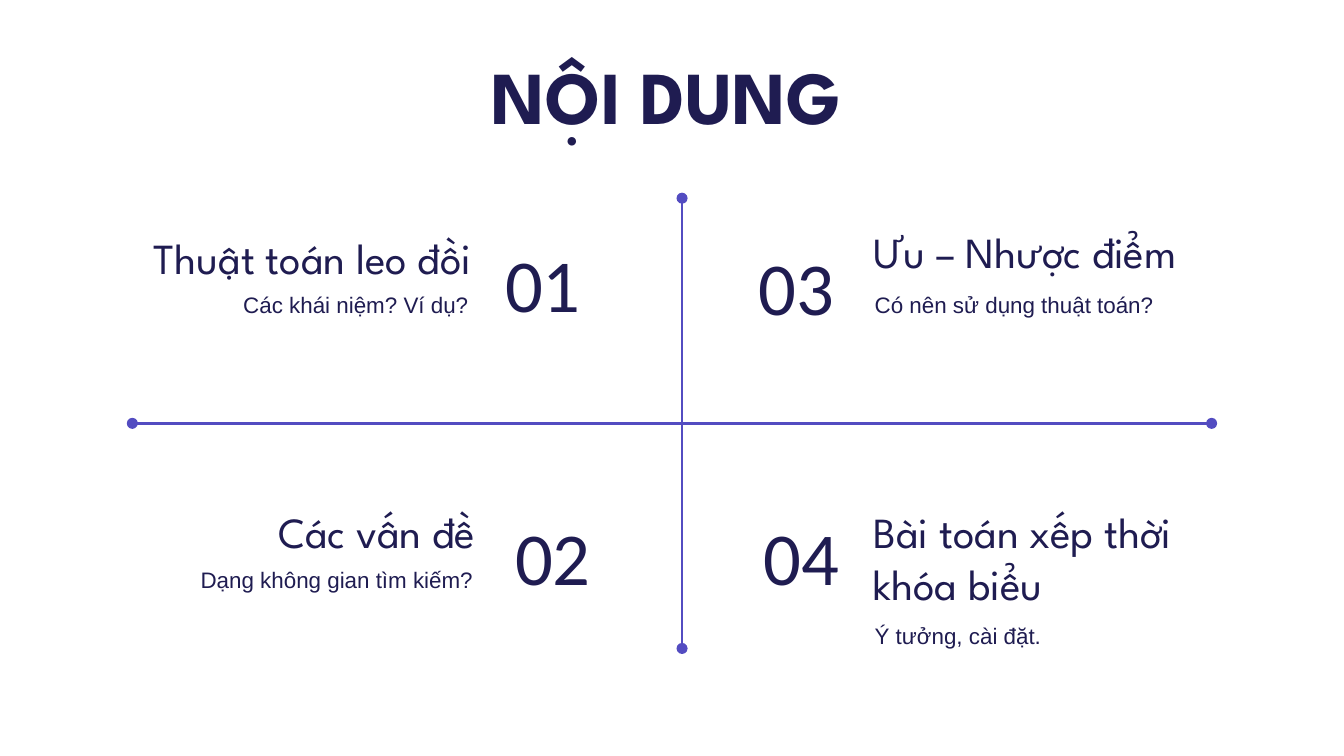
from lxml.etree import SubElement
from pptx import Presentation
from pptx.dml.color import RGBColor
from pptx.enum.shapes import MSO_CONNECTOR
from pptx.enum.text import MSO_ANCHOR, MSO_AUTO_SIZE, PP_ALIGN
from pptx.oxml.ns import qn
from pptx.util import Emu, Pt

PX = 4572  # 200 px to the inch
INK, LINE = "1F1C51", "534CC1"
HEAD, NUM, BODY = ("League Spartan", 23), ("Calibri", 40), ("Arial", 12)
LEFT, RIGHT = PP_ALIGN.LEFT, PP_ALIGN.RIGHT
MID, BOTTOM = MSO_ANCHOR.MIDDLE, MSO_ANCHOR.BOTTOM

TITLE = ("NỘI DUNG", (712, 55, 596, 172))

# Side of the text, then number, heading and note, each with its box;
# the heading also has its anchor.
TOPICS = [
    (RIGHT, ("01", (732, 335, 260, 172)),
     ("Thuật toán leo đồi", (126, 333, 596, 100), MID),
     ("Các khái niệm? Ví dụ?", (121, 403, 596, 100))),
    (RIGHT, ("02", (747, 741, 260, 172)),
     ("Các vấn đề", (131, 749, 596, 100), BOTTOM),
     ("Dạng không gian tìm kiếm?", (238, 813, 486, 100))),
    (LEFT, ("03", (1001, 339, 260, 172)),
     ("Ưu – Nhược điểm", (1280, 332, 596, 100), BOTTOM),
     ("Có nên sử dụng thuật toán?", (1282, 406, 490, 94))),
    (LEFT, ("04", (1009, 741, 260, 172)),
     ("Bài toán xếp thời khóa biểu", (1280, 748, 616, 178), BOTTOM),
     ("Ý tưởng, cài đặt.", (1282, 896, 466, 100))),
]

AXES = [(1015, 295, 1015, 965), (197, 630, 1803, 630)]


def px(nums):
    return [Emu(n * PX) for n in nums]


def color(code):
    return RGBColor.from_string(code)


def write(shape, text, box, style, align=LEFT, anchor=MID, bold=False):
    shape.left, shape.top, shape.width, shape.height = px(box)
    frame = shape.text_frame
    frame.text = text
    frame.word_wrap = True
    frame.auto_size = MSO_AUTO_SIZE.NONE
    frame.vertical_anchor = anchor
    frame.margin_left, frame.margin_top, frame.margin_right, frame.margin_bottom = px([20] * 4)
    para = frame.paragraphs[0]
    para.alignment = align
    para.font.name, para.font.size = style[0], Pt(style[1])
    para.font.bold = bold
    para.font.color.rgb = color(INK)


def label(slide, text, box, *look):
    write(slide.shapes.add_textbox(*px(box)), text, box, *look)


def axis(slide, ends):
    """Draw a line with a dot at each end."""
    bar = slide.shapes.add_connector(MSO_CONNECTOR.STRAIGHT, *px(ends))
    bar.line.color.rgb = color(LINE)
    bar.line.width = Pt(1.5)
    props = bar.line._get_or_add_ln()
    for end in ("a:headEnd", "a:tailEnd"):
        SubElement(props, qn(end), type="oval", w="med", len="med")
    SubElement(bar._element.spPr, qn("a:effectLst"))


def main():
    deck = Presentation()
    deck.slide_width, deck.slide_height = px((2000, 1125))
    slide = deck.slides.add_slide(deck.slide_layouts[5])
    write(slide.shapes.title, *TITLE, ("League Spartan", 40), bold=True)
    for ends in AXES:
        axis(slide, ends)
    for side, num, (head, box, anchor), note in TOPICS:
        label(slide, *num, NUM, LEFT if side == RIGHT else RIGHT)
        label(slide, head, box, HEAD, side, anchor)
        label(slide, *note, BODY, side)
    deck.save("out.pptx")


if __name__ == "__main__":
    main()
